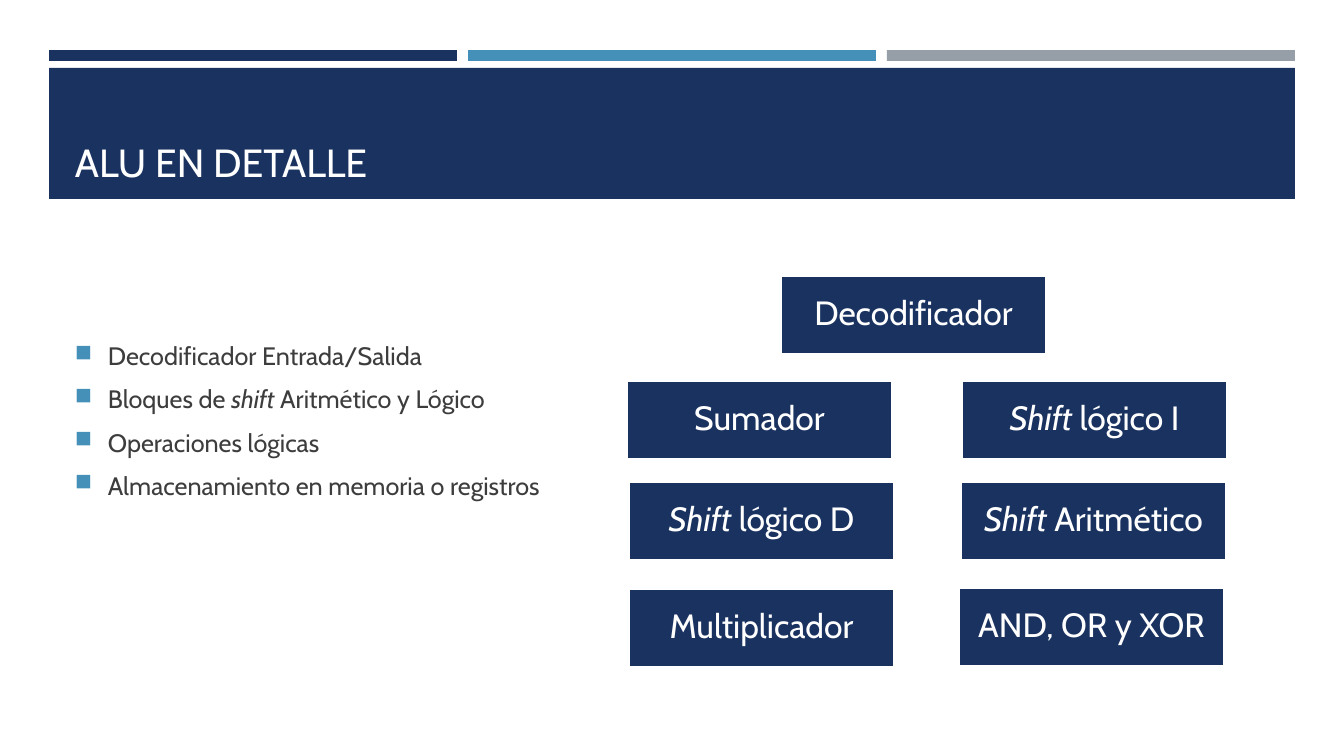
from lxml.etree import SubElement
from pptx import Presentation
from pptx.dml.color import RGBColor
from pptx.enum.shapes import MSO_SHAPE
from pptx.enum.text import MSO_ANCHOR, PP_ALIGN
from pptx.oxml.ns import qn
from pptx.util import Emu, Pt

COLORS = {"navy": "1A3260", "blue": "4590B8", "gray": "969FA7",
          "white": "FFFFFF", "text": "3D3D3D"}
FONT = "Cabin"
SLIDE_W, SLIDE_H = 1344, 756
SCALE = 12192000 / SLIDE_W


def px(n):
    return Emu(round(n * SCALE))


def rgb(name):
    return RGBColor.from_string(COLORS[name])


class Deck:
    def __init__(self):
        self.prs = Presentation()
        self.prs.slide_width, self.prs.slide_height = px(SLIDE_W), px(SLIDE_H)
        self.s = self.prs.slides.add_slide(self.prs.slide_layouts[6])

    def rect(self, x, y, w, h, fill):
        sp = self.s.shapes.add_shape(MSO_SHAPE.RECTANGLE, px(x), px(y), px(w), px(h))
        sp.shadow.inherit = False
        sp.fill.solid()
        sp.fill.fore_color.rgb = rgb(fill)
        sp.line.fill.background()
        return sp

    def text_box(self, x, y, w, h, anchor):
        tf = self.s.shapes.add_textbox(px(x), px(y), px(w), px(h)).text_frame
        tf.word_wrap = True
        tf.vertical_anchor = anchor
        return tf

    def runs(self, p, parts, size, color):
        """Add runs to p; parts are plain and italic text in turn."""
        for i, part in enumerate(parts):
            if not part:
                continue
            r = p.add_run()
            r.text = part
            r.font.name, r.font.size = FONT, Pt(size)
            r.font.italic = i % 2 == 1
            r.font.color.rgb = rgb(color)

    def title(self, x, y, w, h, text):
        tf = self.text_box(x, y, w, h, MSO_ANCHOR.BOTTOM)
        self.runs(tf.paragraphs[0], [text], 28, "white")

    def bullets(self, x, y, w, h, items):
        tf = self.text_box(x, y, w, h, MSO_ANCHOR.MIDDLE)
        for i, parts in enumerate(items):
            p = tf.add_paragraph() if i else tf.paragraphs[0]
            p.space_before, p.space_after = Pt(3.3), Pt(6)
            pPr = p._p.get_or_add_pPr()
            pPr.set("marL", str(px(33)))
            pPr.set("indent", str(-px(33)))
            color = SubElement(pPr, qn("a:buClr"))
            SubElement(color, qn("a:srgbClr"), val=COLORS["blue"])
            SubElement(pPr, qn("a:buSzPct"), val="92000")
            SubElement(pPr, qn("a:buChar"), char="■")
            self.runs(p, parts, 18, "text")

    def block(self, x, y, parts):
        sp = self.rect(x, y, 265, 78, "navy")
        sp.line.color.rgb = rgb("white")
        sp.line.width = Pt(1.75)
        tf = sp.text_frame
        tf.word_wrap = True
        tf.vertical_anchor = MSO_ANCHOR.MIDDLE
        tf.margin_left = tf.margin_right = tf.margin_top = tf.margin_bottom = px(10)
        p = tf.paragraphs[0]
        p.alignment = PP_ALIGN.CENTER
        p.line_spacing = 0.9
        p.space_after = Pt(8.4)
        self.runs(p, parts, 24, "white")


def main():
    deck = Deck()
    for i, color in enumerate(["navy", "blue", "gray"]):
        deck.rect(49 + 419 * i, 50, 408, 11, color)
    deck.rect(49, 68, 1246, 131, "navy")
    deck.title(65, 78, 1216, 112, "ALU EN DETALLE")
    deck.bullets(65, 240, 497, 361, [
        ["Decodificador Entrada/Salida"],
        ["Bloques de ", "shift ", "Aritmético y Lógico"],
        ["Operaciones lógicas"],
        ["Almacenamiento en memoria o registros"],
    ])
    for x, y, parts in [
        (781, 276, ["Decodificador"]),
        (627, 381, ["Sumador"]),
        (962, 381, ["", "Shift", " lógico I"]),
        (629, 482, ["", "Shift", " lógico D"]),
        (961, 482, ["", "Shift", " Aritmético"]),
        (629, 589, ["Multiplicador"]),
        (959, 588, ["AND, OR y XOR"]),
    ]:
        deck.block(x, y, parts)
    deck.prs.save("out.pptx")


if __name__ == "__main__":
    main()
